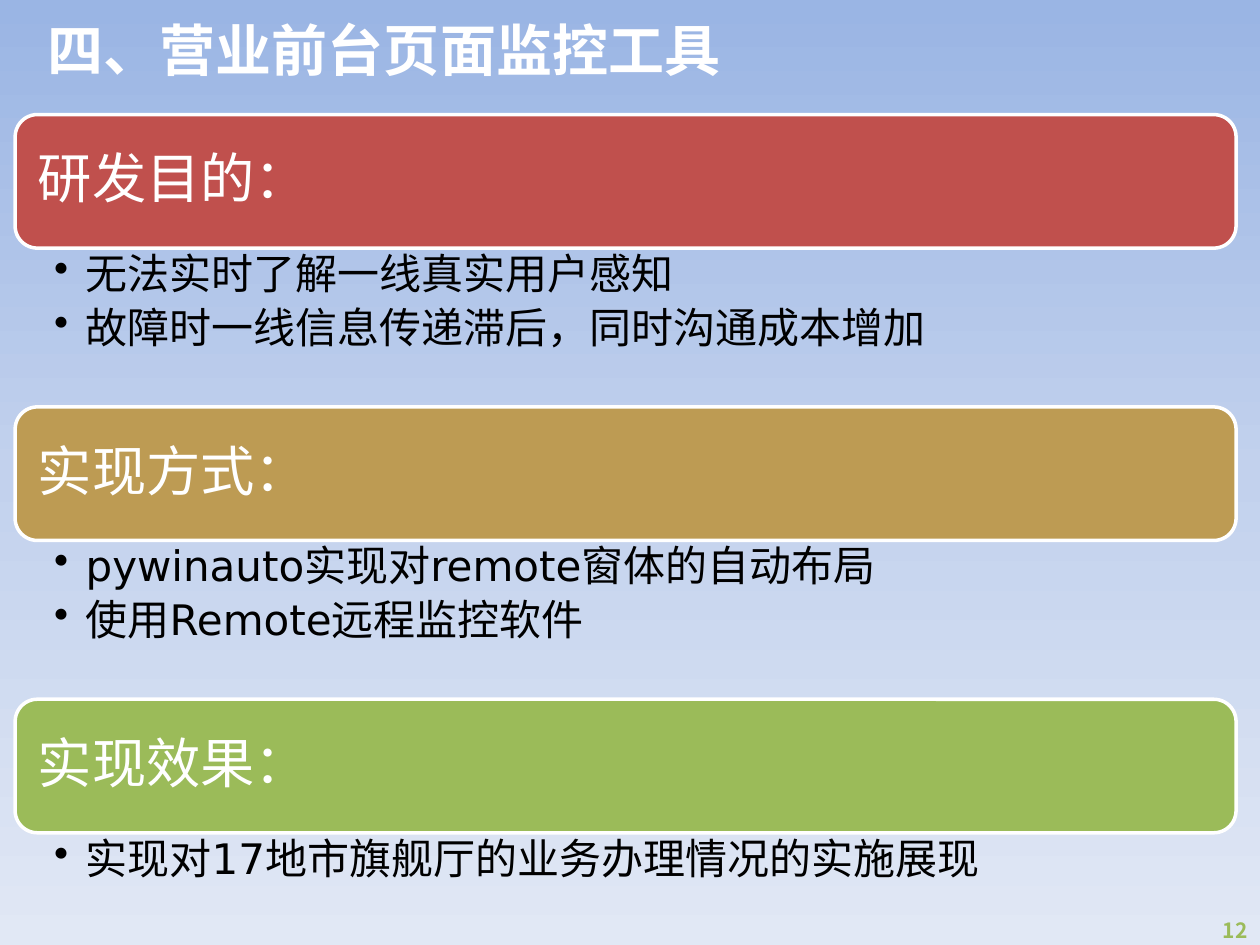
from copy import deepcopy
from dataclasses import dataclass

from lxml import etree
from pptx import Presentation
from pptx.dml.color import RGBColor
from pptx.enum.shapes import MSO_SHAPE
from pptx.enum.text import MSO_ANCHOR, MSO_AUTO_SIZE, PP_ALIGN
from pptx.oxml.ns import qn
from pptx.util import Inches, Pt

ROUNDED = MSO_SHAPE.ROUNDED_RECTANGLE
MIDDLE, TOP = MSO_ANCHOR.MIDDLE, MSO_ANCHOR.TOP
LEFT, RIGHT = PP_ALIGN.LEFT, PP_ALIGN.RIGHT
NO_AUTOFIT = MSO_AUTO_SIZE.NONE

COLORS = {
    "white": "FFFFFF",
    "black": "000000",
    "red": "C0504D",
    "gold": "BD9B53",
    "green": "9BBB59",
}
BACKGROUND = [(0, "9AB5E4"), (0.5, "C2D1ED"), (1, "E1E8F5")]
TITLE_FONT = "Noto Sans CJK SC"
BODY_FONT = "DejaVu Sans"

SECTION_LEFT, SECTION_TOP, SECTION_WIDTH = 0.12, 0.91, 9.69
HEADING_HEIGHT, LIST_HEIGHT = 1.06, 1.26


@dataclass
class Section:
    heading: str
    color: str
    points: list[str]
    list_height: float = LIST_HEIGHT


SECTIONS = [
    Section("研发目的：", "red",
            ["无法实时了解一线真实用户感知", "故障时一线信息传递滞后，同时沟通成本增加"]),
    Section("实现方式：", "gold",
            ["pywinauto实现对remote窗体的自动布局", "使用Remote远程监控软件"]),
    Section("实现效果：", "green",
            ["实现对17地市旗舰厅的业务办理情况的实施展现"], 0.61),
]


def rgb(name: str) -> RGBColor:
    return RGBColor.from_string(COLORS[name])


def set_frame(tf, anchor, insets: tuple[float, float, float, float]) -> None:
    tf.word_wrap = True
    tf.auto_size = NO_AUTOFIT
    tf.vertical_anchor = anchor
    tf.margin_left, tf.margin_top, tf.margin_right, tf.margin_bottom = map(Inches, insets)


def set_text(p, text: str, size: int, color: str, font: str = BODY_FONT,
             bold: bool = False, align=LEFT) -> None:
    p.text = text
    p.alignment = align
    for r in p.runs:
        r.font.size = Pt(size)
        r.font.bold = bold
        r.font.name = font
        r.font.color.rgb = rgb(color)
        etree.SubElement(r.font._element, qn("a:ea")).set("typeface", font)


def add_bullet(p) -> None:
    pPr = p._p.get_or_add_pPr()
    pPr.set("marL", str(Inches(0.25)))
    pPr.set("indent", str(-Inches(0.25)))
    etree.SubElement(pPr, qn("a:buChar")).set("char", "•")


def set_background(s) -> None:
    fill = s.background.fill
    fill.gradient()
    fill.gradient_angle = 270
    stops = s.element.find(".//" + qn("a:gsLst"))
    stops.append(deepcopy(stops[0]))
    for stop, (position, color) in zip(fill.gradient_stops, BACKGROUND):
        stop.position = position
        stop.color.rgb = RGBColor.from_string(color)


def add_title(s, text: str) -> None:
    sp = s.shapes.title
    sp.left, sp.top, sp.width, sp.height = map(Inches, (0.28, 0.05, 9, 0.68))
    set_frame(sp.text_frame, MIDDLE, (0.1, 0.05, 0.1, 0.05))
    set_text(sp.text_frame.paragraphs[0], text, 32, "white", TITLE_FONT, True)


def add_section(s, section: Section, top: float) -> None:
    sp = s.shapes.add_shape(ROUNDED, Inches(SECTION_LEFT), Inches(top),
                            Inches(SECTION_WIDTH), Inches(HEADING_HEIGHT))
    sp.shadow.inherit = False
    sp.fill.solid()
    sp.fill.fore_color.rgb = rgb(section.color)
    sp.line.color.rgb = rgb("white")
    sp.line.width = Pt(2)
    set_frame(sp.text_frame, MIDDLE, (0.13, 0.13, 0.13, 0.13))
    p = sp.text_frame.paragraphs[0]
    set_text(p, section.heading, 31, "white")
    p.line_spacing = 0.9

    box = s.shapes.add_textbox(Inches(SECTION_LEFT), Inches(top + HEADING_HEIGHT),
                               Inches(SECTION_WIDTH), Inches(section.list_height))
    tf = box.text_frame
    set_frame(tf, TOP, (0.31, 0.04, 0.24, 0.04))
    tf.text = "\n".join(section.points)
    for p, point in zip(tf.paragraphs, section.points):
        set_text(p, point, 24, "black")
        p.line_spacing = 0.9
        p.space_after = Pt(5)
        add_bullet(p)


def add_page_number(s, number: str) -> None:
    box = s.shapes.add_textbox(Inches(9.57), Inches(7.23), Inches(0.43), Inches(0.3))
    set_frame(box.text_frame, TOP, (0.1, 0.05, 0.1, 0.05))
    set_text(box.text_frame.paragraphs[0], number, 12, "green", TITLE_FONT, True, RIGHT)


def main() -> None:
    prs = Presentation()
    prs.slide_width, prs.slide_height = Inches(10), Inches(7.5)
    s = prs.slides.add_slide(prs.slide_layouts[5])
    set_background(s)
    add_page_number(s, "12")
    add_title(s, "四、营业前台页面监控工具")
    for i, section in enumerate(SECTIONS):
        add_section(s, section, SECTION_TOP + i * (HEADING_HEIGHT + LIST_HEIGHT))
    prs.save("out.pptx")


if __name__ == "__main__":
    main()
